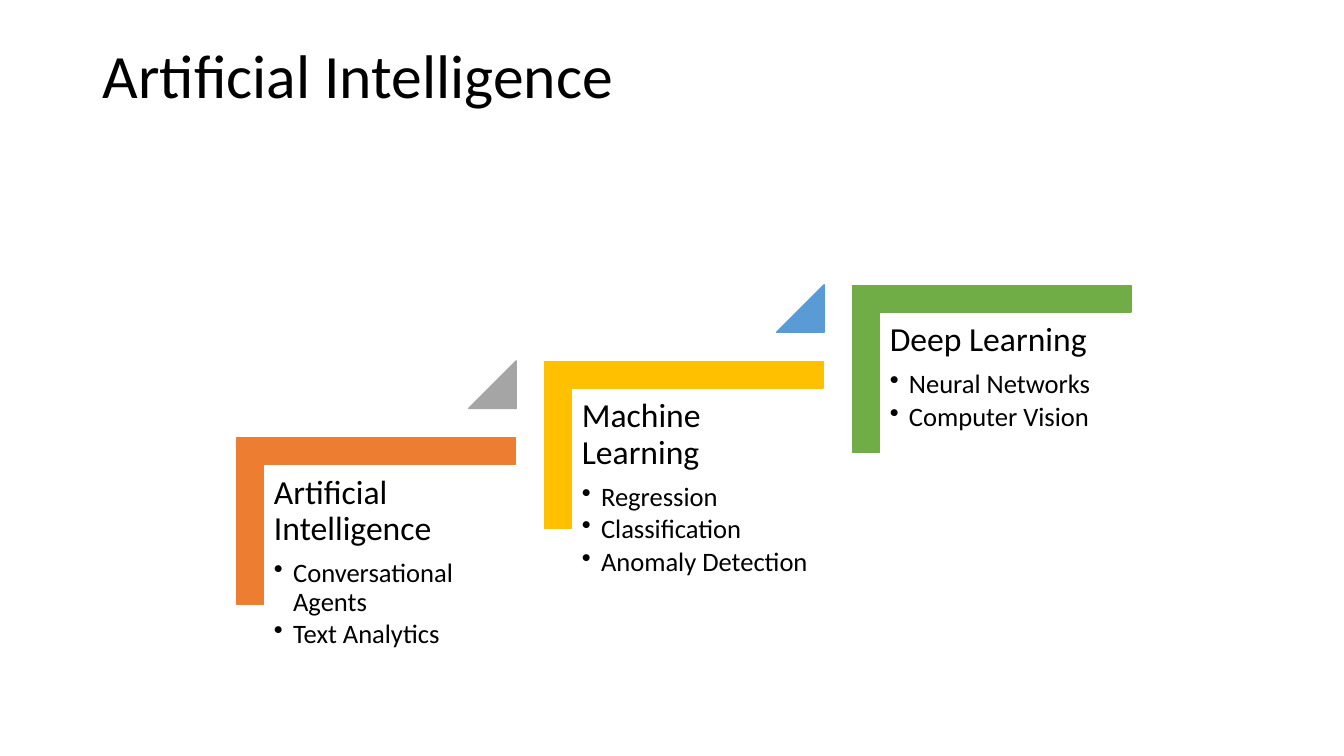
from lxml.etree import SubElement
from pptx import Presentation
from pptx.dml.color import RGBColor
from pptx.enum.shapes import MSO_SHAPE as Shape
from pptx.enum.text import MSO_ANCHOR as Anchor, PP_ALIGN as Align
from pptx.oxml.ns import qn
from pptx.util import Inches, Pt

COLORS = {
    "text": "000000",
    "orange": "ED7D31",
    "gray": "A5A5A5",
    "gold": "FFC000",
    "blue": "5B9BD5",
    "green": "70AD47",
}
STEPS = [
    ("Artificial Intelligence", ["Conversational Agents", "Text Analytics"], "orange", "gray"),
    ("Machine Learning", ["Regression", "Classification", "Anomaly Detection"], "gold", "blue"),
    ("Deep Learning", ["Neural Networks", "Computer Vision"], "green", None),
]
STEP_RUN, STEP_RISE = 22.91, 10.07


class StaircaseSlide:
    """Draws on one slide; all lengths are percentages of its width and height."""

    font = "Calibri"

    def __init__(self, deck):
        self.deck = deck
        self.page = deck.slides.add_slide(deck.slide_layouts[6])

    def area(self, left, top, width, height):
        across, down = self.deck.slide_width / 100, self.deck.slide_height / 100
        return int(left * across), int(top * down), int(width * across), int(height * down)

    def shape(self, kind, place, color, adjustments, rotation=0):
        shape = self.page.shapes.add_shape(kind, *self.area(*place))
        shape.shadow.inherit = False
        shape.rotation = rotation
        for index, value in enumerate(adjustments):
            shape.adjustments[index] = value
        paint = RGBColor.from_string(COLORS[color])
        shape.fill.solid()
        shape.fill.fore_color.rgb = paint
        shape.line.color.rgb = paint
        shape.line.width = Pt(1)

    def text(self, place, heading, size, bullets=(), inset=0.1):
        box = self.page.shapes.add_textbox(*self.area(*place))
        frame = box.text_frame
        frame.word_wrap = True
        frame.vertical_anchor = Anchor.TOP
        frame.margin_left = frame.margin_right = Inches(0.1)
        frame.margin_top = frame.margin_bottom = Inches(inset)
        frame.text = "\n".join([heading, *bullets])
        for index, para in enumerate(frame.paragraphs):
            para.alignment = Align.LEFT
            para.line_spacing = 0.9
            para.space_after = Pt(2.85 if index else 8.4)
            span = para.runs[0]
            span.font.name = self.font
            span.font.size = Pt(19 if index else size)
            span.font.color.rgb = RGBColor.from_string(COLORS["text"])
            if index:
                self.bullet(para)

    def bullet(self, para):
        para.level = 1
        properties = para._p.get_or_add_pPr()
        properties.set("marL", str(Inches(0.19)))
        properties.set("indent", str(-Inches(0.19)))
        SubElement(properties, qn("a:buChar"), char="•")

    def step(self, index, heading, bullets, color, marker):
        """Draws a corner bracket, its text and the triangle leading to the next step."""
        right, up = index * STEP_RUN, index * STEP_RISE
        self.shape(Shape.CORNER, (21.75 + right, 50.53 - up, 12.45, 36.8),
                   color, (0.16, 0.16), rotation=90)
        self.text((19.65 + right, 61.5 - up, 18.75, 29.2), heading, 24, bullets)
        if marker:
            self.shape(Shape.ISOSCELES_TRIANGLE,
                       (34.88 + right, 47.75 - up, 3.53, 6.27), marker, (1,))


def main():
    deck = Presentation()
    deck.slide_width, deck.slide_height = Inches(13.33), Inches(7.5)
    slide = StaircaseSlide(deck)
    slide.text((6.9, 5.33, 86.25, 19.33), "Artificial Intelligence", 44, inset=0.05)
    for index, step in enumerate(STEPS):
        slide.step(index, *step)
    deck.save("out.pptx")


if __name__ == "__main__":
    main()
